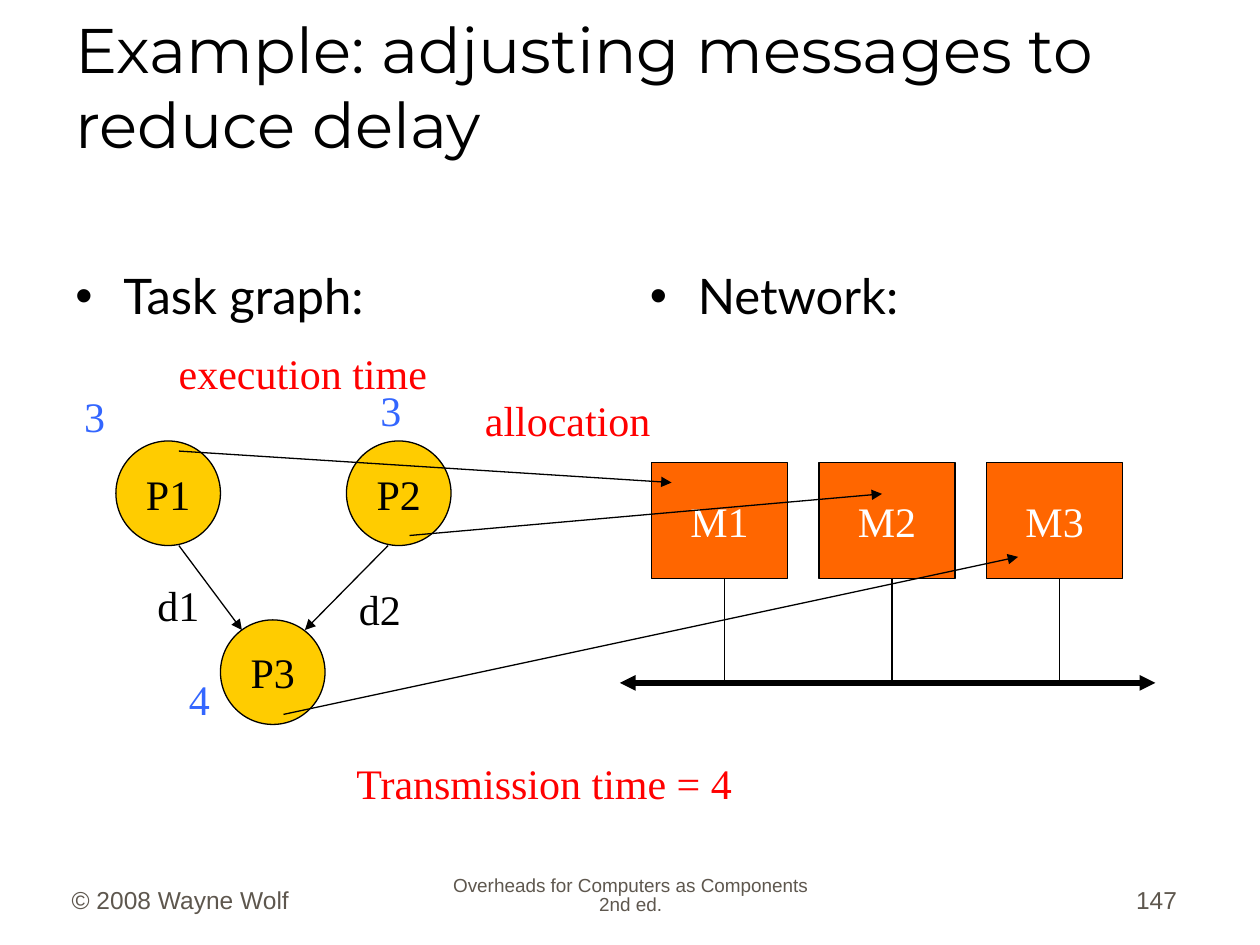
"""Build the slide on adjusting messages to reduce delay."""
import pptx
import pptx.util
import pptx.dml.color
import pptx.enum.shapes
import pptx.enum.text
from lxml import etree
from pptx.oxml.ns import qn

Inches, Pt = pptx.util.Inches, pptx.util.Pt
RGBColor = pptx.dml.color.RGBColor
SHAPE = pptx.enum.shapes.MSO_SHAPE
ANCHOR = pptx.enum.text.MSO_ANCHOR
ALIGN = pptx.enum.text.PP_ALIGN

BLACK = RGBColor(0x00, 0x00, 0x00)
WHITE = RGBColor(0xFF, 0xFF, 0xFF)
RED = RGBColor(0xFF, 0x00, 0x00)
BLUE = RGBColor(0x33, 0x66, 0xFF)
YELLOW = RGBColor(0xFF, 0xCC, 0x00)
ORANGE = RGBColor(0xFF, 0x66, 0x00)
GREY = RGBColor(0x5E, 0x57, 0x4E)
SERIF = "Times New Roman"

TITLE = "Example: adjusting messages to reduce delay"
HEADINGS = [("Task graph:", 0.5), ("Network:", 5.06)]
FOOTERS = [
    ("© 2008 Wayne Wolf", 0.47, 2.08, 14, ALIGN.LEFT, 1.0),
    ("Overheads for Computers as Components 2nd ed.", 3.42, 3.17, 10.8, ALIGN.CENTER, 0.8),
    ("147", 7.36, 2.08, 14, ALIGN.RIGHT, 1.0),
]
PROCESSES = [("P1", 0.92, 3.5), ("P2", 2.75, 3.5), ("P3", 1.75, 4.92)]
PROCESS_SIZE = 0.83
DEPENDENCIES = [((1.42, 4.33), (1.92, 5)), ((3.08, 4.33), (2.42, 5))]
MODULES = ["M1", "M2", "M3"]
MODULE_LEFT, MODULE_TOP, MODULE_W, MODULE_H = 5.17, 3.67, 1.08, 0.92
MODULE_PITCH = 1.33
BUS_LEFT, BUS_RIGHT, BUS_Y = 4.92, 9.17, 5.42
ALLOCATIONS = [
    ((1.42, 3.58), (5.33, 3.83)),
    ((3.25, 4.25), (7, 3.92)),
    ((2.25, 5.67), (8.08, 4.42)),
]
LABELS = [
    ("d1", 1.15, 4.55, 0.53, BLACK),
    ("d2", 2.75, 4.58, 0.53, BLACK),
    ("allocation", 3.75, 3.08, 1.55, RED),
    ("3", 0.57, 3.05, 0.36, BLUE),
    ("4", 1.4, 5.3, 0.36, BLUE),
    ("3", 2.92, 3, 0.36, BLUE),
    ("execution time", 1.32, 2.71, 2.2, RED),
    ("Transmission time = 4", 2.73, 5.96, 3.22, RED),
]


def write(sp, text, size, font, color, align=ALIGN.LEFT, anchor=ANCHOR.TOP, wrap=True):
    tf = sp.text_frame
    tf.text = text
    tf.word_wrap = wrap
    tf.vertical_anchor = anchor
    p = tf.paragraphs[0]
    p.alignment = align
    f = p.runs[0].font
    f.size, f.name = Pt(size), font
    f.color.rgb = color
    return p


def add_text(s, box, *args, **kwargs):
    sp = s.shapes.add_textbox(*map(Inches, box))
    return write(sp, *args, **kwargs)


def add_heading(s, text, left):
    p = add_text(s, (left, 2.06, 4.39, 0.6), text, 28, "Lato", BLACK)
    pr = p._p.get_or_add_pPr()
    pr.set("marL", str(Inches(0.38)))
    pr.set("indent", str(-Inches(0.38)))
    etree.SubElement(pr, qn("a:buFont"), typeface="Arial")
    etree.SubElement(pr, qn("a:buChar"), char="•")


def add_node(s, kind, box, text, fill, color):
    sp = s.shapes.add_shape(kind, *map(Inches, box))
    sp.shadow.inherit = False
    sp.fill.solid()
    sp.fill.fore_color.rgb = fill
    sp.line.color.rgb = BLACK
    sp.line.width = Pt(0.75)
    write(sp, text, 24, SERIF, color, ALIGN.CENTER, ANCHOR.MIDDLE, False)


def add_line(s, start, end, width=0.75, arrows=()):
    ln = s.shapes.add_connector(
        pptx.enum.shapes.MSO_CONNECTOR.STRAIGHT, *map(Inches, start + end))
    ln.line.color.rgb = BLACK
    ln.line.width = Pt(width)
    for tag in arrows:
        etree.SubElement(ln.line._get_or_add_ln(), qn(tag), type="triangle")
    etree.SubElement(ln._element.spPr, qn("a:effectLst"))


def main():
    prs = pptx.Presentation()
    prs.slide_width, prs.slide_height = Inches(10), Inches(7.5)
    s = prs.slides.add_slide(prs.slide_layouts[6])

    add_text(s, (0.5, 0.25, 8.92, 1.08), TITLE, 36, "Montserrat", BLACK,
             anchor=ANCHOR.BOTTOM)
    for text, left in HEADINGS:
        add_heading(s, text, left)
    for text, left, width, size, align, spacing in FOOTERS:
        p = add_text(s, (left, 6.81, width, 0.5), text, size, "Arial", GREY,
                     align, ANCHOR.BOTTOM)
        p.line_spacing = spacing

    for text, left, top in PROCESSES:
        add_node(s, SHAPE.OVAL, (left, top, PROCESS_SIZE, PROCESS_SIZE), text, YELLOW, BLACK)
    for start, end in DEPENDENCIES:
        add_line(s, start, end, arrows=["a:tailEnd"])

    add_line(s, (BUS_LEFT, BUS_Y), (BUS_RIGHT, BUS_Y), 3, ["a:headEnd", "a:tailEnd"])
    for i, text in enumerate(MODULES):
        left = MODULE_LEFT + i * MODULE_PITCH
        add_node(s, SHAPE.RECTANGLE, (left, MODULE_TOP, MODULE_W, MODULE_H),
                 text, ORANGE, WHITE)
        drop_x = left + 0.58
        add_line(s, (drop_x, MODULE_TOP + MODULE_H), (drop_x, BUS_Y))
    for start, end in ALLOCATIONS:
        add_line(s, start, end, arrows=["a:tailEnd"])

    for text, left, top, width, color in LABELS:
        add_text(s, (left, top, width, 0.5), text, 24, SERIF, color, wrap=False)

    prs.save("out.pptx")


if __name__ == "__main__":
    main()
